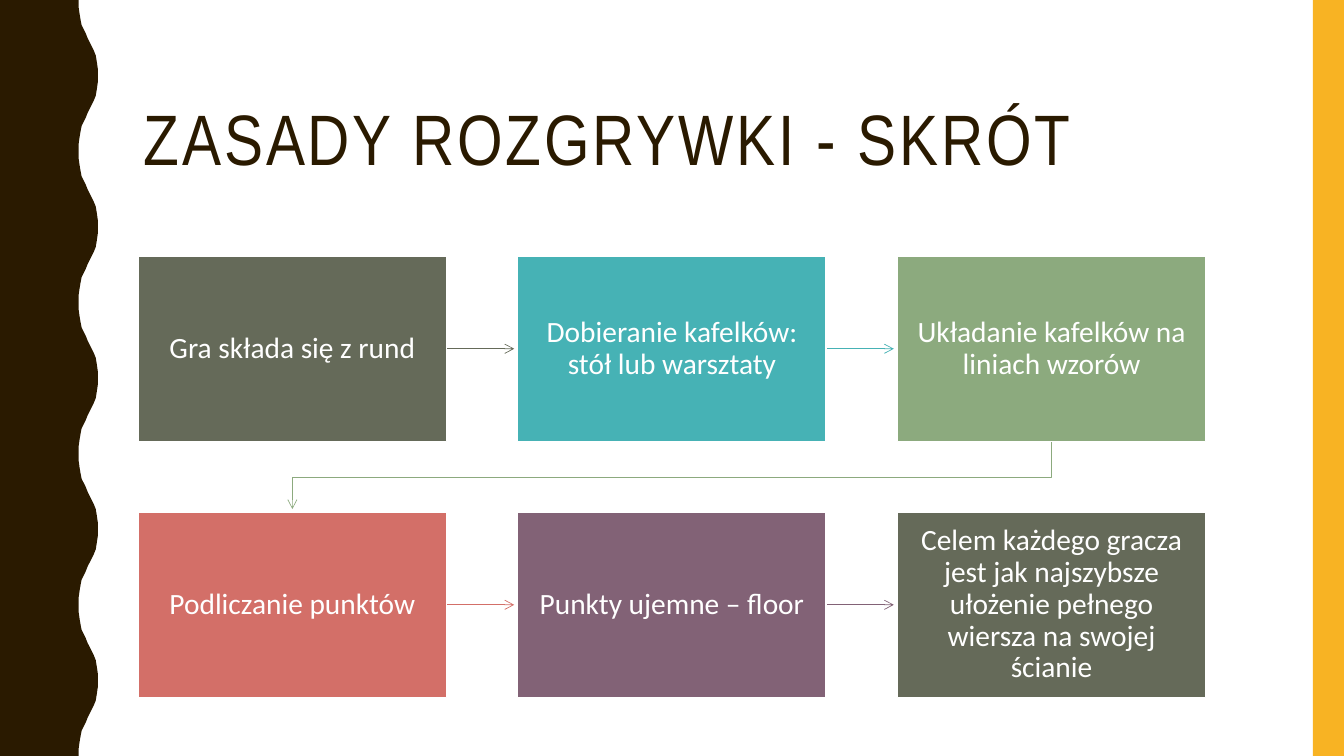
from dataclasses import dataclass

from lxml.etree import SubElement
from pptx import Presentation
from pptx.dml.color import RGBColor
from pptx.enum.shapes import MSO_CONNECTOR, MSO_SHAPE
from pptx.enum.text import MSO_ANCHOR, PP_ALIGN
from pptx.oxml.ns import qn
from pptx.util import Inches, Pt


@dataclass(frozen=True)
class Theme:
    dark: str = "2A1A00"
    accent: str = "F8B323"
    white: str = "FFFFFF"
    olive: str = "656A59"
    teal: str = "46B2B5"
    green: str = "8CAA7E"
    red: str = "D36F68"
    purple: str = "826276"
    title_font: str = "Arial Narrow"
    body_font: str = "Calibri"
    title_size: int = 51
    body_size: int = 21


THEME = Theme()
PAGE_WIDTH, PAGE_HEIGHT = 13.33, 7.5
COLUMNS = 3
LEFT, TOP = 1.37, 2.54
BOX_WIDTH, BOX_HEIGHT = 3.06, 1.84
COLUMN_STEP, ROW_STEP = 3.765, 2.54
ARROW_LENGTH = 0.67
WAVE_PERIOD = 1.5
HALF_WAVE = [
    (0.78, 0), (0.78, 0.07), (0.79, 0.14), (0.8, 0.2), (0.81, 0.25),
    (0.83, 0.29), (0.85, 0.33), (0.87, 0.38), (0.89, 0.42), (0.91, 0.46),
    (0.93, 0.5), (0.95, 0.55), (0.96, 0.61), (0.97, 0.68), (0.97, 0.75),
]
STEPS = [
    ("Gra składa się z rund", THEME.olive),
    ("Dobieranie kafelków: stół lub warsztaty", THEME.teal),
    ("Układanie kafelków na liniach wzorów", THEME.green),
    ("Podliczanie punktów", THEME.red),
    ("Punkty ujemne – floor", THEME.purple),
    ("Celem każdego gracza jest jak najszybsze ułożenie pełnego wiersza "
     "na swojej ścianie", THEME.olive),
]


def paint(shape, color):
    shape.shadow.inherit = False
    shape.fill.solid()
    shape.fill.fore_color.rgb = RGBColor.from_string(color)
    shape.line.fill.background()


def add_outline(page, points, close):
    start, *rest = [(Inches(x), Inches(y)) for x, y in points]
    builder = page.shapes.build_freeform(*start)
    builder.add_line_segments(rest, close=close)
    return builder.convert_to_shape()


def add_rectangle(page, left, top, width, height, color):
    box = page.shapes.add_shape(
        MSO_SHAPE.RECTANGLE, Inches(left), Inches(top), Inches(width), Inches(height))
    paint(box, color)
    return box


def add_wave(page):
    period = HALF_WAVE + [(x, WAVE_PERIOD - y) for x, y in HALF_WAVE[-2::-1]]
    edge = [(x, y + WAVE_PERIOD * index)
            for index in range(int(PAGE_HEIGHT / WAVE_PERIOD)) for x, y in period]
    paint(add_outline(page, [(0, 0), *edge, (0, PAGE_HEIGHT)], True), THEME.dark)


def write(box, text, font, size, color):
    frame = box.text_frame
    frame.word_wrap = True
    frame.vertical_anchor = MSO_ANCHOR.MIDDLE
    para = frame.paragraphs[0]
    para.line_spacing = 0.9
    para.font.name = font
    para.font.size = Pt(size)
    para.font.color.rgb = RGBColor.from_string(color)
    span = para.add_run()
    span.text = text
    return para, span


def add_title(page, text):
    box = page.shapes.add_textbox(Inches(1.33), Inches(0.78), Inches(10.67), Inches(1.26))
    para, span = write(box, text, THEME.title_font, THEME.title_size, THEME.dark)
    span.font.language_id = None
    span.font._element.set("spc", "200")


def add_step(page, left, top, text, color):
    box = add_rectangle(page, left, top, BOX_WIDTH, BOX_HEIGHT, color)
    box.line.color.rgb = RGBColor.from_string(THEME.white)
    box.line.width = Pt(1)
    frame = box.text_frame
    frame.margin_left = frame.margin_right = Inches(0.15)
    frame.margin_top = frame.margin_bottom = Inches(0.16)
    para, span = write(box, text, THEME.body_font, THEME.body_size, THEME.white)
    para.alignment = PP_ALIGN.CENTER


def style_arrow(arrow, color):
    arrow.line.color.rgb = RGBColor.from_string(color)
    arrow.line.width = Pt(0.5)
    SubElement(arrow.line._get_or_add_ln(), qn("a:tailEnd"), type="arrow")
    SubElement(arrow._element.spPr, qn("a:effectLst"))


def add_arrow(page, left, top, color):
    arrow = page.shapes.add_connector(
        MSO_CONNECTOR.STRAIGHT, Inches(left), Inches(top),
        Inches(left + ARROW_LENGTH), Inches(top))
    style_arrow(arrow, color)


def add_row_arrow(page, start_x, start_y, end_x, color):
    bend = start_y + 0.36
    points = [(start_x, start_y), (start_x, bend), (end_x, bend),
              (end_x, start_y + ARROW_LENGTH)]
    arrow = add_outline(page, points, False)
    arrow.fill.background()
    style_arrow(arrow, color)


def add_process(page):
    for index, (text, color) in enumerate(STEPS):
        row, column = divmod(index, COLUMNS)
        left = LEFT + column * COLUMN_STEP
        top = TOP + row * ROW_STEP
        if column < COLUMNS - 1:
            add_arrow(page, left + BOX_WIDTH, top + BOX_HEIGHT / 2, color)
        elif index < len(STEPS) - 1:
            add_row_arrow(page, left + BOX_WIDTH / 2, top + BOX_HEIGHT,
                          LEFT + BOX_WIDTH / 2, color)
        add_step(page, left, top, text, color)


def main():
    deck = Presentation()
    deck.slide_width = Inches(PAGE_WIDTH)
    deck.slide_height = Inches(PAGE_HEIGHT)
    page = deck.slides.add_slide(deck.slide_layouts[6])
    add_wave(page)
    add_rectangle(page, 13.02, 0, 0.31, PAGE_HEIGHT, THEME.accent)
    add_title(page, "ZASADY ROZGRYWKI - SKRÓT")
    add_process(page)
    deck.save("out.pptx")


if __name__ == "__main__":
    main()
